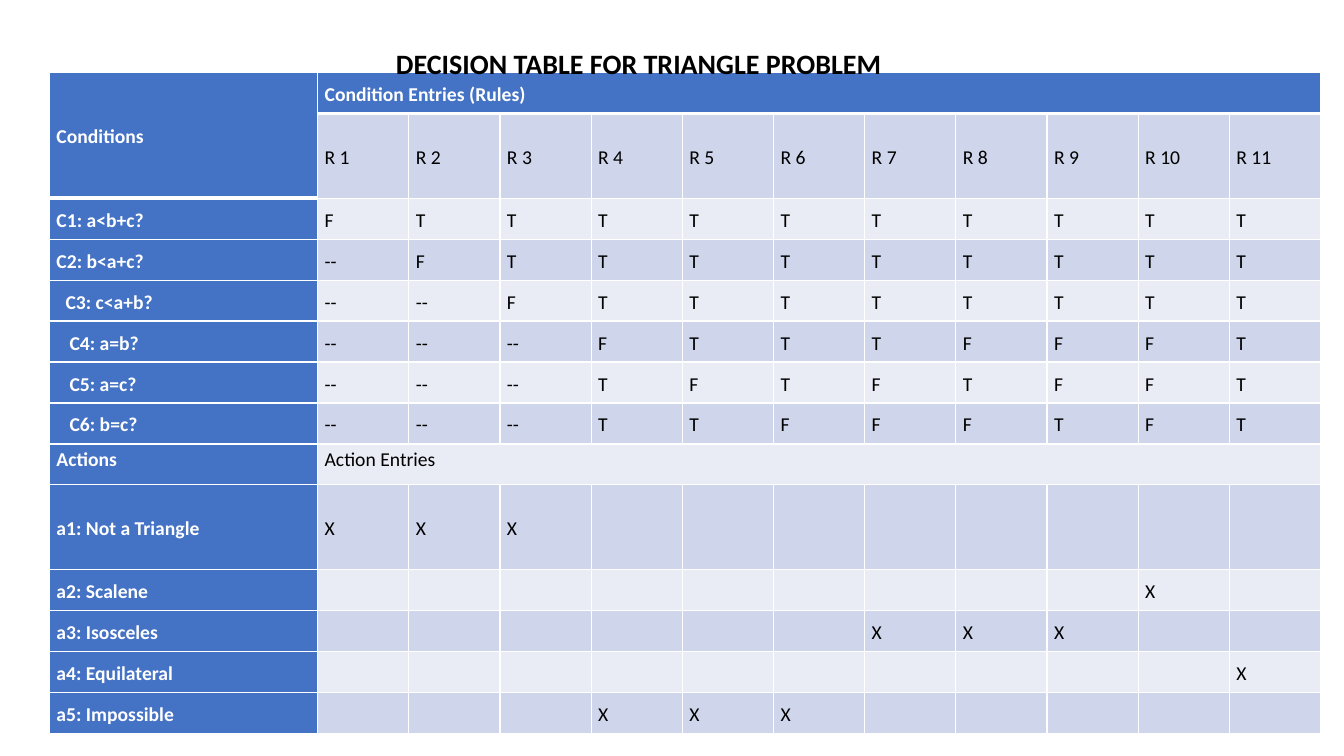
from lxml.etree import SubElement
from pptx import Presentation
from pptx.dml.color import RGBColor
from pptx.enum.text import MSO_ANCHOR, PP_ALIGN
from pptx.oxml.ns import qn
from pptx.util import Inches, Pt

RULE_COUNT = 11
CONDITIONS = [
    ("C1: a<b+c?", "F T T T T T T T T T T"),
    ("C2: b<a+c?", "-- F T T T T T T T T T"),
    ("C3: c<a+b?", "-- -- F T T T T T T T T"),
    ("C4: a=b?", "-- -- -- F T T T F F F T"),
    ("C5: a=c?", "-- -- -- T F T F T F F T"),
    ("C6: b=c?", "-- -- -- T T F F F T F T"),
]
ACTIONS = [
    ("a1: Not a Triangle", (1, 2, 3)),
    ("a2: Scalene", (10,)),
    ("a3: Isosceles", (7, 8, 9)),
    ("a4: Equilateral", (11,)),
    ("a5: Impossible", (4, 5, 6)),
]
LABEL_INDENTS = {"C3": 0.09, "C4": 0.13, "C5": 0.13, "C6": 0.13}


def color(hex_string):
    return RGBColor.from_string(hex_string)


def decision_rows():
    blanks = [""] * (RULE_COUNT - 1)
    rules = range(1, RULE_COUNT + 1)
    return [
        ["Conditions", "Condition Entries (Rules)", *blanks],
        ["", *(f"R {rule}" for rule in rules)],
        *([label, *entries.split()] for label, entries in CONDITIONS),
        ["Actions", "Action Entries", *blanks],
        *([label, *("X" if rule in marked else "" for rule in rules)]
          for label, marked in ACTIONS),
    ]


class DecisionSlide:
    font_name = "Calibri"
    header_fill = "4472C4"
    band_fills = ("E9EBF5", "CFD5EA")
    light = "FFFFFF"
    dark = "000000"

    def __init__(self, presentation):
        self.slide = presentation.slides.add_slide(presentation.slide_layouts[5])

    def style_paragraph(self, paragraph, size, text_color, bold, alignment):
        paragraph.alignment = alignment
        paragraph.font.name = self.font_name
        paragraph.font.size = Pt(size)
        paragraph.font.bold = bold
        paragraph.font.color.rgb = color(text_color)

    def add_title(self, text, left, top, width, height):
        title = self.slide.shapes.title
        title.left, title.top = Inches(left), Inches(top)
        title.width, title.height = Inches(width), Inches(height)
        frame = title.text_frame
        frame.text = text
        frame.word_wrap = True
        frame.vertical_anchor = MSO_ANCHOR.TOP
        paragraph = frame.paragraphs[0]
        paragraph.line_spacing = 1.0
        self.style_paragraph(paragraph, 20, self.dark, True, PP_ALIGN.CENTER)
        return title

    def set_borders(self, cell, top, bottom):
        properties = cell._tc.get_or_add_tcPr()
        widths = {"lnL": 1, "lnR": 1, "lnT": top, "lnB": bottom}
        for position, (side, width) in enumerate(widths.items()):
            line = SubElement(properties, qn(f"a:{side}"), w=str(Pt(width)))
            fill = SubElement(line, qn("a:solidFill"))
            SubElement(fill, qn("a:srgbClr"), val=self.light)
            properties.insert(position, line)

    def format_cell(self, cell, text, fill, is_header, anchor):
        cell.text = text
        cell.margin_left = Inches(0.07 + LABEL_INDENTS.get(text[:2], 0))
        cell.margin_right = Inches(0.07)
        cell.margin_top = cell.margin_bottom = 0
        cell.vertical_anchor = anchor
        cell.fill.solid()
        cell.fill.fore_color.rgb = color(fill)
        paragraph = cell.text_frame.paragraphs[0]
        paragraph.line_spacing = 1.15
        text_color = self.light if is_header else self.dark
        self.style_paragraph(paragraph, 14, text_color, is_header, PP_ALIGN.JUSTIFY)

    def add_decision_table(self, rows, left, top, width, height):
        graphic_frame = self.slide.shapes.add_table(
            len(rows), len(rows[0]), Inches(left), Inches(top), Inches(width), Inches(height))
        table = graphic_frame.table
        actions_row = len(CONDITIONS) + 2
        tall_rows, tall_height = (1, actions_row + 1), 0.84
        label_width = 2.66
        row_height = (height - len(tall_rows) * tall_height) / (len(rows) - len(tall_rows))
        rule_width = (width - label_width) / RULE_COUNT

        for index, column in enumerate(table.columns):
            column.width = Inches(rule_width if index else label_width)
        for index, row in enumerate(table.rows):
            row.height = Inches(tall_height if index in tall_rows else row_height)

        for row_index, row in enumerate(rows):
            anchor = MSO_ANCHOR.TOP if row_index == actions_row else MSO_ANCHOR.MIDDLE
            for column_index, text in enumerate(row):
                cell = table.cell(row_index, column_index)
                is_header = row_index == 0 or column_index == 0
                fill = self.header_fill if is_header else self.band_fills[row_index % 2]
                self.format_cell(cell, text, fill, is_header, anchor)
                last_header_row = 0 if column_index else 1
                self.set_borders(
                    cell,
                    top=3 if row_index == last_header_row + 1 else 1,
                    bottom=3 if row_index <= last_header_row else 1)

        table.cell(0, 0).merge(table.cell(1, 0))
        for row_index in (0, actions_row):
            table.cell(row_index, 1).merge(table.cell(row_index, RULE_COUNT))
        return graphic_frame


def main():
    presentation = Presentation()
    presentation.slide_width, presentation.slide_height = Inches(13.33), Inches(7.5)
    page = DecisionSlide(presentation)
    title = page.add_title("DECISION TABLE FOR TRIANGLE PROBLEM", 2.9, 0.41, 6.87, 0.44)
    table = page.add_decision_table(decision_rows(), 0.49, 0.72, 12.61, 6.56)
    table.element.addnext(title.element)  # the title lies over the table's top edge
    presentation.save("out.pptx")


if __name__ == "__main__":
    main()
